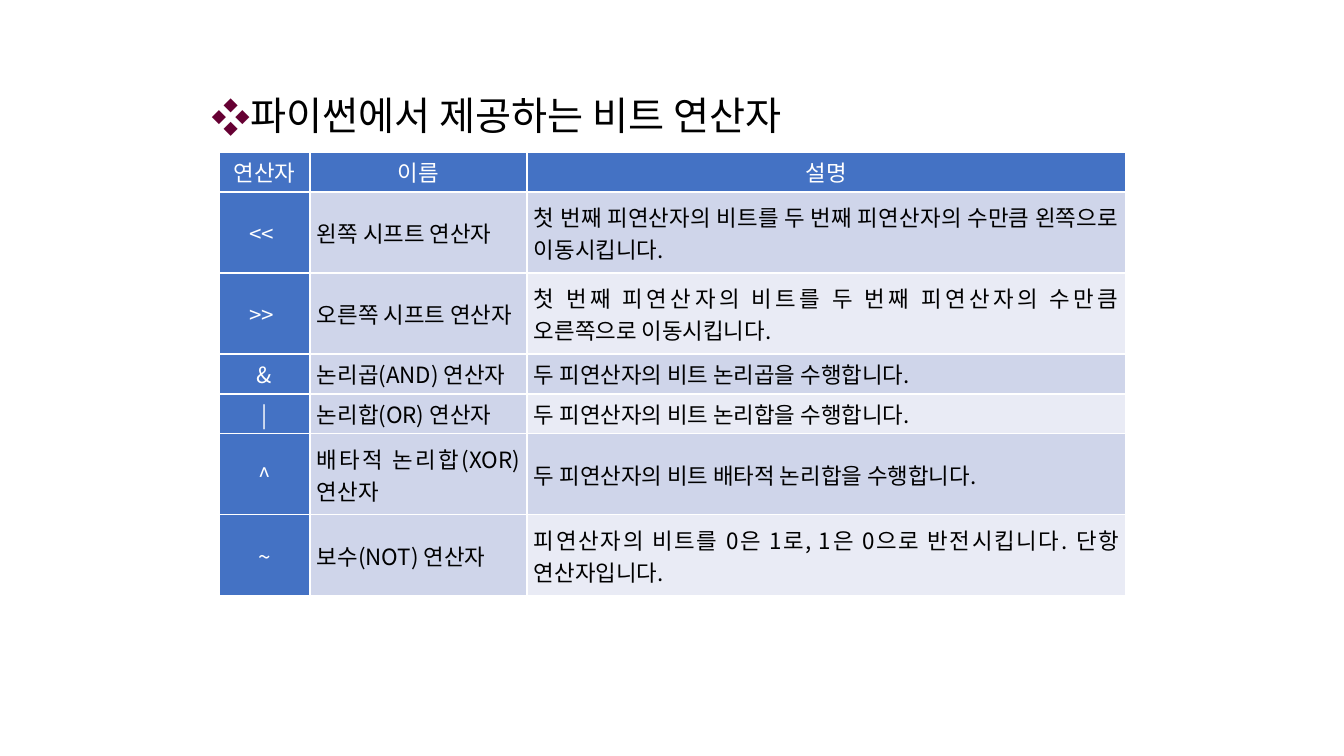
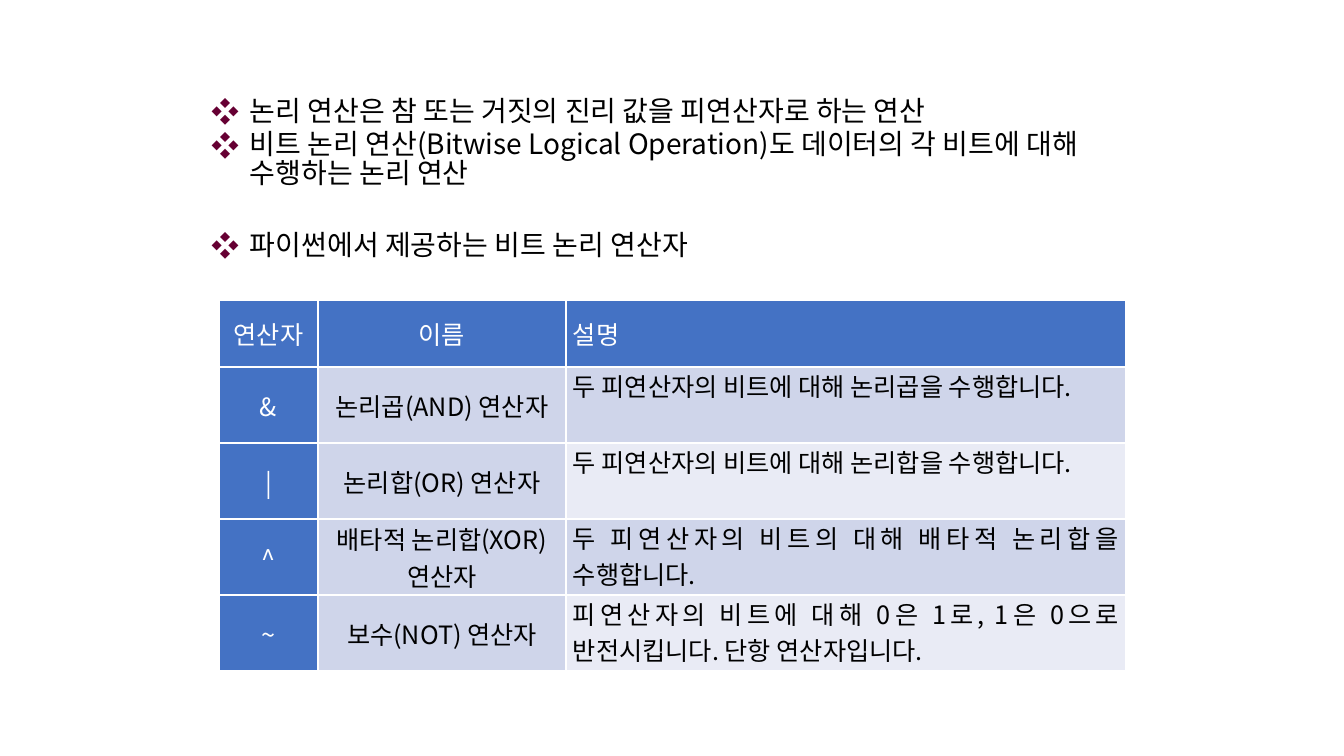
from lxml import etree
from pptx import Presentation
from pptx.dml.color import RGBColor
from pptx.enum import text
from pptx.oxml import ns
from pptx.util import Pt

EMU_PER_INCH = 914400
PX_PER_INCH = 100.8

FONT = "Noto Sans CJK KR"
BLACK = RGBColor(0x00, 0x00, 0x00)
WHITE = RGBColor(0xFF, 0xFF, 0xFF)
BLUE = RGBColor(0x44, 0x72, 0xC4)
BAND_DARK = RGBColor(0xCF, 0xD5, 0xEA)
BAND_LIGHT = RGBColor(0xE9, 0xEB, 0xF5)
BULLET_COLOR = RGBColor(0x66, 0x00, 0x33)

BODY_BOX = (202, 93, 958, 630)
TABLE_LEFT = 219
INDENT = 38
LINE_SPACING = 0.85

CENTER = text.PP_ALIGN.CENTER
JUSTIFY = text.PP_ALIGN.JUSTIFY
MIDDLE = text.MSO_ANCHOR.MIDDLE
TOP = text.MSO_ANCHOR.TOP

HEADINGS = ("연산자", "이름", "설명")


def px(length):
    return round(length * EMU_PER_INCH / PX_PER_INCH)


def style_runs(paragraph, size, color):
    for run in paragraph.runs:
        run.font.size = Pt(size)
        run.font.bold = False
        run.font.color.rgb = color
        run.font.name = FONT
        east_asian = etree.SubElement(run.font._element, ns.qn("a:ea"))
        east_asian.set("typeface", FONT)


def add_bullet(paragraph):
    properties = paragraph._p.get_or_add_pPr()
    properties.set("marL", str(px(INDENT)))
    properties.set("indent", str(-px(INDENT)))
    color = etree.SubElement(properties, ns.qn("a:buClr"))
    etree.SubElement(color, ns.qn("a:srgbClr")).set("val", str(BULLET_COLOR))
    etree.SubElement(properties, ns.qn("a:buFont")).set("typeface", FONT)
    etree.SubElement(properties, ns.qn("a:buChar")).set("char", "❖")


def add_body(slide, box, items, size):
    """Bulleted text; each item is (wording, space before in points)."""
    shape = slide.shapes.add_textbox(*map(px, box))
    frame = shape.text_frame
    frame.word_wrap = True
    frame.margin_top = px(6)
    frame.text = "\n".join(wording for wording, _ in items)
    for paragraph, (_, space) in zip(frame.paragraphs, items):
        add_bullet(paragraph)
        paragraph.line_spacing = LINE_SPACING
        paragraph.space_before = Pt(space)
        style_runs(paragraph, size, BLACK)


def cell_fill(row, column):
    if row == 0 or column == 0:
        return BLUE
    return BAND_DARK if column == 1 or row % 2 else BAND_LIGHT


def add_operator_table(slide, top, widths, heights, rows, size,
                       heading_aligns, body_aligns, text_anchor):
    """Operator table; text_anchor places the descriptions."""
    content = [HEADINGS, *rows]
    box = (TABLE_LEFT, top, sum(widths), sum(heights))
    table = slide.shapes.add_table(len(content), len(widths), *map(px, box)).table
    table.first_col = True
    for column, width in zip(table.columns, widths):
        column.width = px(width)
    for row, height in zip(table.rows, heights):
        row.height = px(height)

    for r, wordings in enumerate(content):
        aligns = body_aligns if r else heading_aligns
        for c, wording in enumerate(wordings):
            cell = table.cell(r, c)
            cell.margin_left = cell.margin_right = px(7)
            cell.margin_top = cell.margin_bottom = 0
            cell.vertical_anchor = text_anchor if r and c == 2 else MIDDLE
            fill = cell_fill(r, c)
            cell.fill.solid()
            cell.fill.fore_color.rgb = fill
            cell.text_frame.text = wording
            paragraph = cell.text_frame.paragraphs[0]
            paragraph.alignment = aligns[c]
            style_runs(paragraph, size, WHITE if fill == BLUE else BLACK)


def build_bit_operators(slide):
    add_body(slide, BODY_BOX, [("파이썬에서 제공하는 비트 연산자", 0)], 28)
    rows = [
        ("<< ", "왼쪽 시프트 연산자",
         "첫 번째 피연산자의 비트를 두 번째 피연산자의 수만큼 왼쪽으로 이동시킵니다."),
        (">> ", "오른쪽 시프트 연산자",
         "첫 번째 피연산자의 비트를 두 번째 피연산자의 수만큼 오른쪽으로 이동시킵니다."),
        ("&", "논리곱(AND) 연산자", "두 피연산자의 비트 논리곱을 수행합니다."),
        ("|", "논리합(OR) 연산자", "두 피연산자의 비트 논리합을 수행합니다."),
        ("^", "배타적 논리합(XOR) 연산자",
         "두 피연산자의 비트 배타적 논리합을 수행합니다."),
        ("~", "보수(NOT) 연산자",
         "피연산자의 비트를 0은 1로, 1은 0으로 반전시킵니다. 단항 연산자입니다."),
    ]
    single, double = 40, 81
    heights = [single, double, double, single, single, double, double]
    add_operator_table(slide, 152, (91, 217, 599), heights, rows, 16,
                       (CENTER, CENTER, CENTER), (CENTER, JUSTIFY, JUSTIFY),
                       MIDDLE)


def build_logical_operators(slide):
    add_body(slide, BODY_BOX, [
        ("논리 연산은 참 또는 거짓의 진리 값을 피연산자로 하는 연산", 0),
        ("비트 논리 연산(Bitwise Logical Operation)도 데이터의 각 비트에 대해 "
         "수행하는 논리 연산", 3.2),
        ("파이썬에서 제공하는 비트 논리 연산자", 31),
    ], 20)
    rows = [
        ("&", "논리곱(AND) 연산자",
         "두 피연산자의 비트에 대해 논리곱을 수행합니다."),
        ("|", "논리합(OR) 연산자",
         "두 피연산자의 비트에 대해 논리합을 수행합니다."),
        ("^", "배타적 논리합(XOR) 연산자",
         "두 피연산자의 비트의 대해 배타적 논리합을 수행합니다."),
        ("~", "보수(NOT) 연산자",
         "피연산자의 비트에 대해 0은 1로, 1은 0으로 반전시킵니다. 단항 연산자입니다."),
    ]
    heights = [67] + [76] * len(rows)
    add_operator_table(slide, 300, (99, 248, 560), heights, rows, 18,
                       (CENTER, CENTER, JUSTIFY), (CENTER, CENTER, JUSTIFY),
                       TOP)


def main():
    presentation = Presentation()
    presentation.slide_width = px(1344)
    presentation.slide_height = px(756)
    blank = presentation.slide_layouts[6]
    for build in (build_bit_operators, build_logical_operators):
        build(presentation.slides.add_slide(blank))
    presentation.save("out.pptx")


if __name__ == "__main__":
    main()
